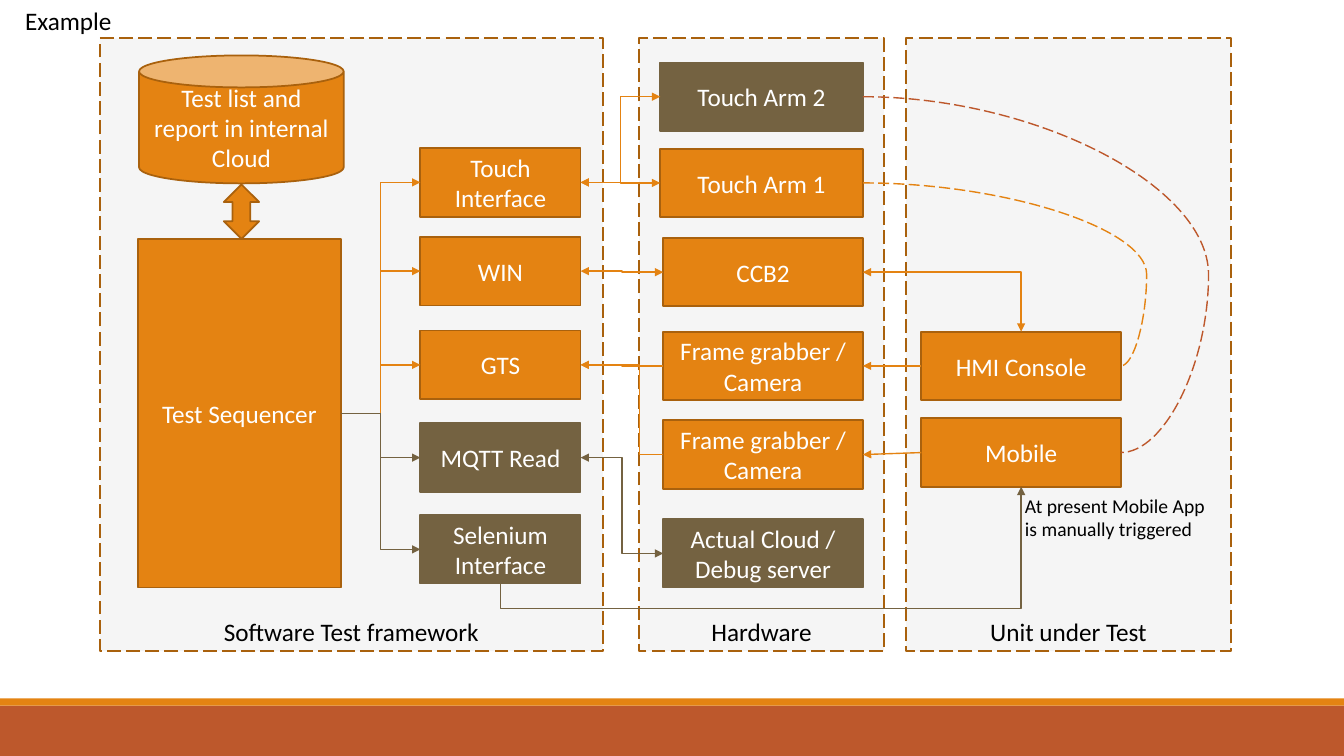
from lxml import etree
from pptx import Presentation, util as u
from pptx.dml.color import RGBColor
from pptx.enum import dml, shapes, text
from pptx.oxml.ns import qn

ORANGE = RGBColor(0xE4, 0x83, 0x12)
BROWN = RGBColor(0xA9, 0x61, 0x0D)
OLIVE = RGBColor(0x74, 0x62, 0x41)
RUST = RGBColor(0xBD, 0x58, 0x2C)
GREY = RGBColor(0xD9, 0xD9, 0xD9)
WHITE = RGBColor(0xFF, 0xFF, 0xFF)
BLACK = RGBColor(0, 0, 0)

TOP, LEFT, BOTTOM, RIGHT = range(4)  # connection sites of a rectangle
SHAPE = shapes.MSO_SHAPE
CONNECTOR = shapes.MSO_CONNECTOR


class Diagram:
    """Draws on one slide; lengths are cells of a grid, ten to the inch."""
    cell = u.Inches(0.1)
    font_name = "Calibri"

    def __init__(self, columns, rows):
        self.deck = Presentation()
        self.deck.slide_width, self.deck.slide_height = self.place(columns, rows)
        self.slide = self.deck.slides.add_slide(self.deck.slide_layouts[6])

    def place(self, *cells):
        return [u.Emu(round(count * self.cell)) for count in cells]

    def label(self, frame, words, size, colour, align):
        frame.word_wrap = True
        paragraph = frame.paragraphs[0]
        paragraph.text = words
        paragraph.alignment = align
        font = paragraph.font
        font.name, font.size, font.color.rgb = self.font_name, u.Pt(size), colour

    def block(self, area, fill, outline=None, words="", kind=SHAPE.RECTANGLE,
              colour=WHITE, anchor=text.MSO_ANCHOR.MIDDLE):
        block = self.slide.shapes.add_shape(kind, *self.place(*area))
        block.shadow.inherit = False
        block.fill.solid()
        block.fill.fore_color.rgb = fill
        if outline is None:
            block.line.fill.background()
        else:
            block.line.color.rgb = outline
            block.line.width = u.Pt(1.25)
        if words:
            block.text_frame.vertical_anchor = anchor
            self.label(block.text_frame, words, 18, colour, text.PP_ALIGN.CENTER)
        return block

    def panel(self, left, width, words):
        """A see-through dashed area with its name at the foot."""
        panel = self.block((left, 3.8, width, 60.8), GREY, BROWN, words,
                           colour=BLACK, anchor=text.MSO_ANCHOR.BOTTOM)
        panel.line.dash_style = dml.MSO_LINE.LONG_DASH
        tint = panel._element.spPr.find(qn("a:solidFill")).find(qn("a:srgbClr"))
        etree.SubElement(tint, qn("a:alpha"), val="25000")

    def column(self, left, width, boxes):
        """Boxes of one height, one per (top, words, fill)."""
        return [self.block((left, top, width, 6.8), fill,
                           BROWN if fill == ORANGE else OLIVE, words)
                for top, words, fill in boxes]

    def note(self, area, words, size):
        note = self.slide.shapes.add_textbox(*self.place(*area))
        self.label(note.text_frame, words, size, BLACK, text.PP_ALIGN.LEFT)
        note.text_frame.auto_size = text.MSO_AUTO_SIZE.SHAPE_TO_FIT_TEXT

    def link(self, start, end, colour=ORANGE, kind=CONNECTOR.ELBOW, sites=(RIGHT, LEFT),
             head=False, tail=True, bend=None, dashed=False):
        link = self.slide.shapes.add_connector(kind, 0, 0, 0, 0)
        link.begin_connect(start, sites[0])
        link.end_connect(end, sites[1])
        link.line.color.rgb = colour
        link.line.width = u.Pt(1)
        if dashed:
            link.line.dash_style = dml.MSO_LINE.LONG_DASH
        properties = link._element.spPr
        outline = properties.find(qn("a:ln"))
        for tag, shown in (("a:headEnd", head), ("a:tailEnd", tail)):
            if shown:
                etree.SubElement(outline, qn(tag), type="triangle")
        etree.SubElement(properties, qn("a:effectLst"))
        if bend is not None:
            guides = properties.find(qn("a:prstGeom")).find(qn("a:avLst"))
            etree.SubElement(guides, qn("a:gd"), name="adj1",
                             fmla=f"val {round(bend * 100000)}")
        return link

    def corner(self, start, end):
        """A link with one turn, into the top of its end."""
        link = self.link(start, end, sites=(RIGHT, TOP), head=True)
        link._element.spPr.find(qn("a:prstGeom")).set("prst", "bentConnector2")

    def underpass(self, start, end, colour, bend):
        """A link that leaves and arrives from below: a quarter-turned elbow."""
        link = self.link(start, end, colour, sites=(BOTTOM, BOTTOM), bend=bend)
        across, down = link.width, link.height
        middle_x, middle_y = link.left + across // 2, link.top + down // 2
        link.left, link.top = middle_x - down // 2, middle_y - across // 2
        link.width, link.height = down, across
        frame = link._element.spPr.find(qn("a:xfrm"))
        for name, value in (("rot", "5400000"), ("flipH", "1"), ("flipV", "1")):
            frame.set(name, value)


def main():
    diagram = Diagram(133.33, 75)
    diagram.block((0, 70, 133.33, 5), RUST)
    diagram.block((0, 69.3, 133.33, 0.7), ORANGE)
    diagram.note((1.5, 0, 47.1, 4), "Example", 18)

    for left, width, words in ((9.9, 49.9, "Software Test framework"),
                               (63.4, 24.3, "Hardware"),
                               (89.9, 32.2, "Unit under Test")):
        diagram.panel(left, width, words)

    sequencer = diagram.block((13.7, 23.7, 20.1, 34.6), ORANGE, BROWN, "Test Sequencer")
    touch, win, gts, mqtt, selenium = diagram.column(41.7, 15.9, (
        (14.7, "Touch Interface", ORANGE), (23.5, "WIN", ORANGE), (32.8, "GTS", ORANGE),
        (42, "MQTT Read", OLIVE), (51.1, "Selenium Interface", OLIVE)))
    arm_2, arm_1 = diagram.column(65.5, 20.1, (
        (6.2, "Touch Arm 2", OLIVE), (14.75, "Touch Arm 1", ORANGE)))
    ccb2, console_camera, mobile_camera, server = diagram.column(65.8, 19.8, (
        (23.6, "CCB2", ORANGE), (32.9, "Frame grabber / Camera", ORANGE),
        (41.7, "Frame grabber / Camera", ORANGE),
        (51.5, "Actual Cloud / Debug server", OLIVE)))
    console, mobile = diagram.column(91.4, 19.8, (
        (32.9, "HMI Console", ORANGE), (41.5, "Mobile", ORANGE)))

    for interface, colour in ((touch, ORANGE), (win, ORANGE), (gts, ORANGE),
                              (mqtt, OLIVE), (selenium, OLIVE)):
        diagram.link(sequencer, interface, colour, bend=0.5)
    for interface, device, colour in ((touch, arm_1, ORANGE), (touch, arm_2, ORANGE),
                                      (win, ccb2, ORANGE), (mqtt, server, OLIVE)):
        diagram.link(interface, device, colour, head=True, bend=0.5)
    for camera, unit, bend in ((console_camera, console, 0.5),
                               (mobile_camera, mobile, 0.71)):
        diagram.link(gts, camera, head=True, tail=False, bend=bend)
        diagram.link(unit, camera, kind=CONNECTOR.STRAIGHT, sites=(LEFT, RIGHT))
    for arm, unit, colour, bend in ((arm_1, console, ORANGE, 1.1),
                                    (arm_2, mobile, RUST, 1.34)):
        diagram.link(arm, unit, colour, CONNECTOR.CURVE, (RIGHT, RIGHT),
                     tail=False, bend=bend, dashed=True)
    diagram.corner(ccb2, console)
    diagram.underpass(selenium, mobile, OLIVE, -0.26)

    diagram.note((100.7, 48.5, 21.4, 5.7), "At present Mobile App is manually triggered", 14)
    diagram.block((13.8, 5.5, 20.3, 12.7), ORANGE, BROWN,
                  "Test list and report in internal Cloud", SHAPE.CAN)
    diagram.block((22.2, 18.3, 3.5, 5.4), ORANGE, BROWN, kind=SHAPE.UP_DOWN_ARROW)
    diagram.deck.save("out.pptx")


if __name__ == "__main__":
    main()
